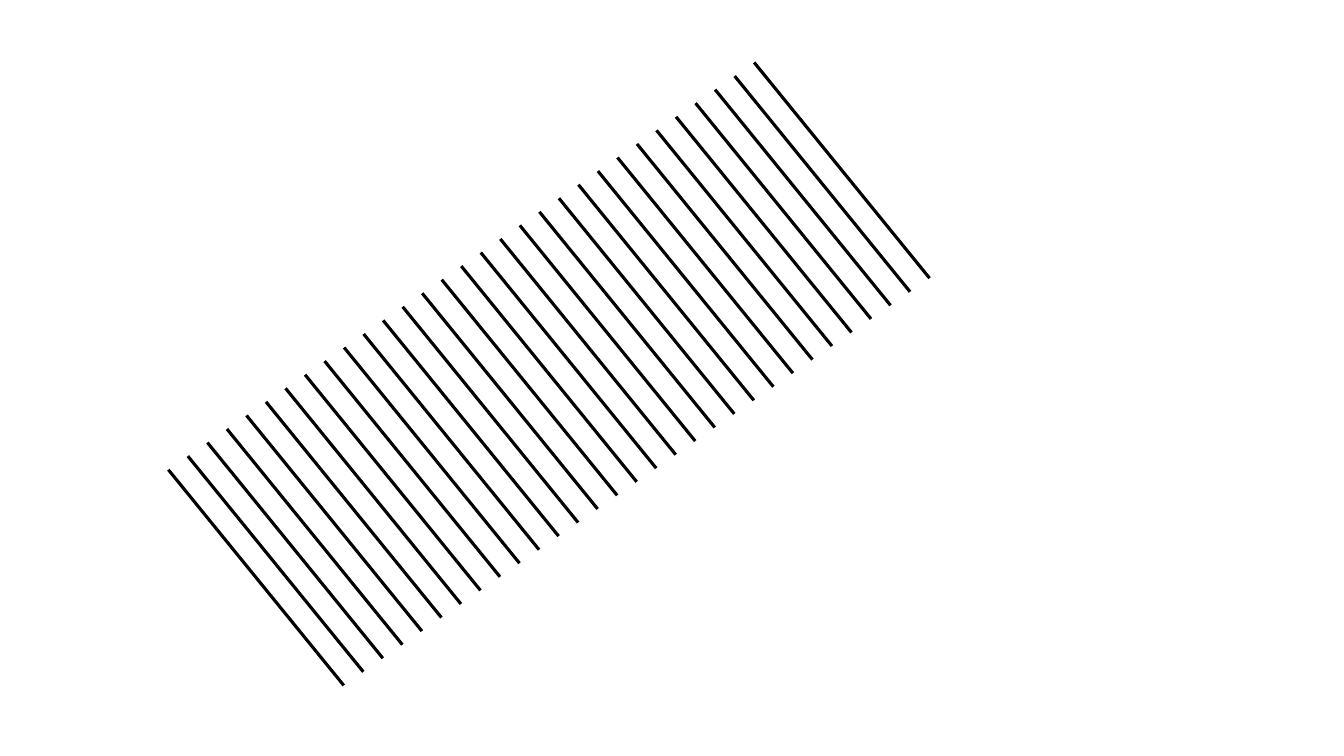
from pptx import Presentation
from pptx.dml.color import RGBColor
from pptx.enum.shapes import MSO_CONNECTOR
from pptx.oxml.ns import qn
from pptx.util import Inches, Pt
from lxml.etree import SubElement

BLACK = RGBColor(0x00, 0x00, 0x00)
SLIDE_WIDTH, SLIDE_HEIGHT = 13.33, 7.5
STRIPE_COUNT = 31
FIRST_LEFT, FIRST_BOTTOM = 3.41, 6.8
LAST_LEFT, LAST_BOTTOM = 9.22, 2.76
STRIPE_RUN, STRIPE_RISE = -1.74, -2.14


def add_stripe(group, x, y):
    stripe = group.shapes.add_connector(
        MSO_CONNECTOR.STRAIGHT,
        Inches(x),
        Inches(y),
        Inches(x + STRIPE_RUN),
        Inches(y + STRIPE_RISE),
    )
    stripe.line.color.rgb = BLACK
    stripe.line.width = Pt(2.25)
    properties = stripe.element.find(qn("p:spPr"))
    SubElement(properties, qn("a:effectLst"))


def add_stripe_band(page):
    group = page.shapes.add_group_shape()
    for index in range(STRIPE_COUNT):
        share = index / (STRIPE_COUNT - 1)
        x = FIRST_LEFT + share * (LAST_LEFT - FIRST_LEFT)
        y = FIRST_BOTTOM + share * (LAST_BOTTOM - FIRST_BOTTOM)
        add_stripe(group, x, y)


def main():
    deck = Presentation()
    deck.slide_width = Inches(SLIDE_WIDTH)
    deck.slide_height = Inches(SLIDE_HEIGHT)
    page = deck.slides.add_slide(deck.slide_layouts[6])
    add_stripe_band(page)
    deck.save("out.pptx")


main()
